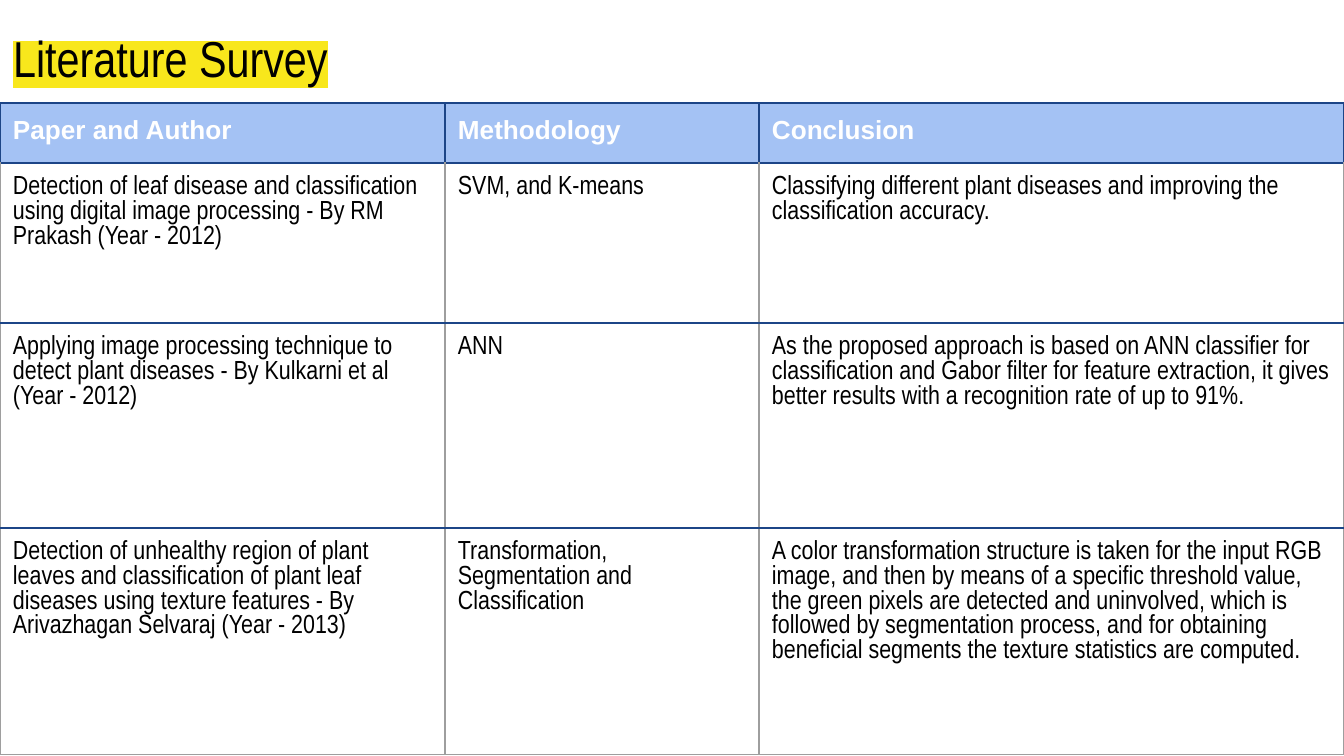
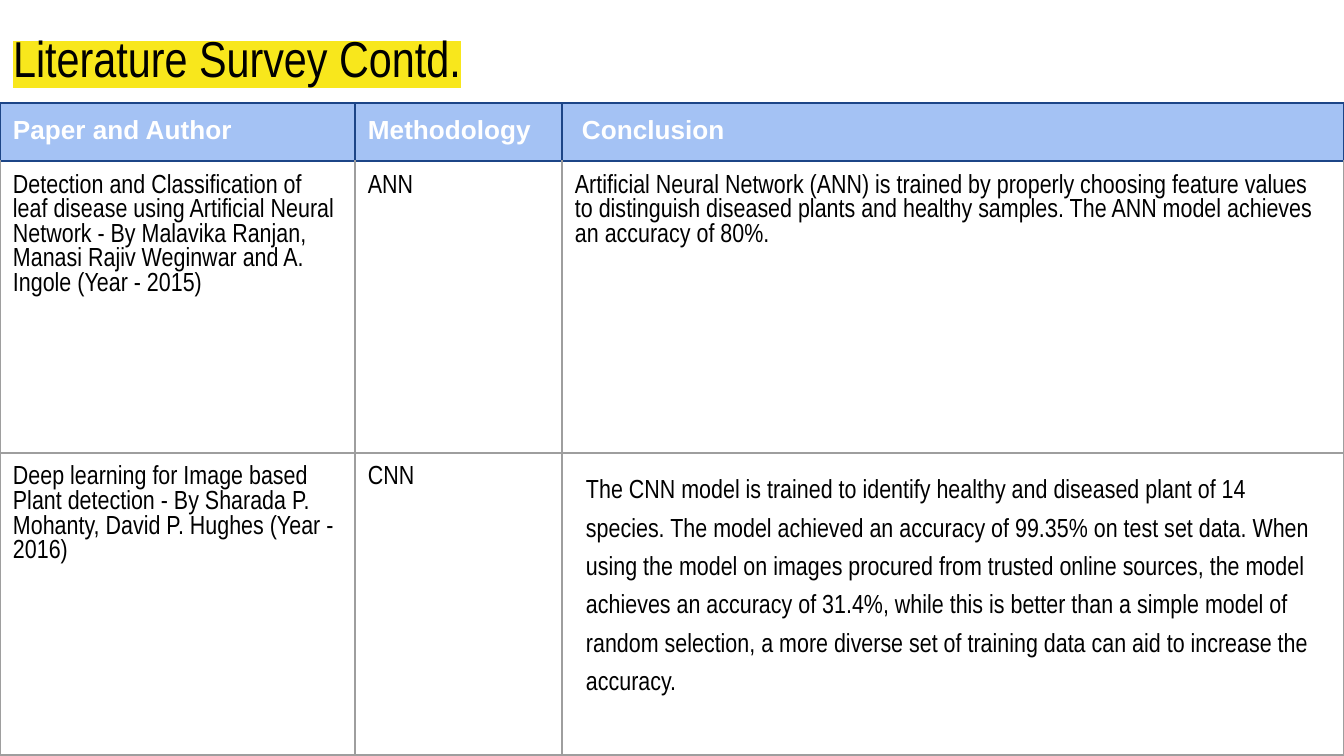
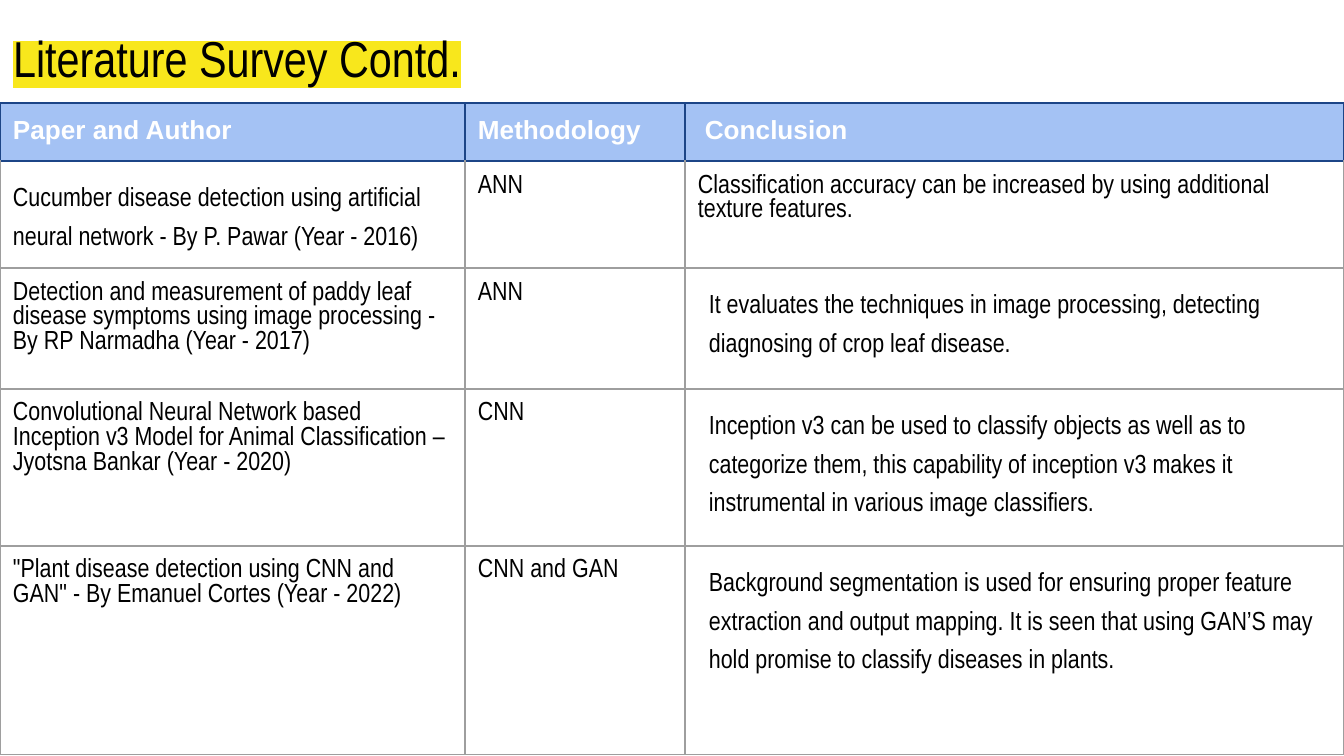
import pptx
import pptx.dml.color
import pptx.enum.text
import pptx.oxml
import pptx.oxml.ns
import pptx.util

BLACK = pptx.dml.color.RGBColor(0x00, 0x00, 0x00)
WHITE = pptx.dml.color.RGBColor(0xFF, 0xFF, 0xFF)
YELLOW = pptx.dml.color.RGBColor(0xF8, 0xE7, 0x1C)
SKY = pptx.dml.color.RGBColor(0xA4, 0xC2, 0xF4)
NAVY = pptx.dml.color.RGBColor(0x1C, 0x45, 0x87)
GREY = pptx.dml.color.RGBColor(0x9E, 0x9E, 0x9E)

PX_PER_INCH = 134.4
PAGE_WIDTH, PAGE_HEIGHT = 1344, 756
TABLE_TOP = 103
MARGIN = 13
TITLE_ONLY = 5
LOOSE_SPACING = 1.56

TITLE_FONT = {"size": pptx.util.Pt(27), "name": "Arial Narrow", "bold": False}
HEADER_FONT = {"size": pptx.util.Pt(14), "name": "Arial", "bold": True}
BODY_FONT = {"size": pptx.util.Pt(14), "name": "Arial Narrow", "bold": False}
HEADERS = ["Paper and Author", "Methodology", "Conclusion"]

SURVEYS = [
    {
        "title": "Literature Survey",
        "widths": [445, 314, 585],
        "heights": [60, 160, 205, 227],
        "divider": NAVY,
        "indents": {},
        "papers": [
            ["Detection of leaf disease and classification using digital image processing - By RM Prakash (Year - 2012)",
             "SVM, and K-means",
             "Classifying different plant diseases and improving the classification accuracy."],
            ["Applying image processing technique to detect plant diseases - By Kulkarni et al (Year - 2012)",
             "ANN",
             "As the proposed approach is based on ANN classifier for classification and Gabor filter for "
             "feature extraction, it gives better results with a recognition rate of up to 91%."],
            ["Detection of unhealthy region of plant leaves and classification of plant leaf diseases using "
             "texture features - By Arivazhagan Selvaraj (Year - 2013)",
             "Transformation, Segmentation and Classification",
             "A color transformation structure is taken for the input RGB image, and then by means of a "
             "specific threshold value, the green pixels are detected and uninvolved, which is followed by "
             "segmentation process, and for obtaining beneficial segments the texture statistics are computed."],
        ],
    },
    {
        "title": "Literature Survey Contd.",
        "widths": [355, 207, 782],
        "heights": [58, 292, 302],
        "divider": GREY,
        "indents": {(0, 2): 7, (2, 2): 11},
        "papers": [
            ["Detection and Classification of leaf disease using Artificial Neural Network - By Malavika "
             "Ranjan, Manasi Rajiv Weginwar and A. Ingole (Year - 2015)",
             "ANN",
             "Artificial Neural Network (ANN) is trained by properly choosing feature values to distinguish "
             "diseased plants and healthy samples. The ANN model achieves an accuracy of 80%."],
            ["Deep learning for Image based Plant detection - By Sharada P. Mohanty, David P. Hughes (Year - 2016)",
             "CNN",
             "The CNN model is trained to identify healthy and diseased plant of 14 species. The model "
             "achieved an accuracy of 99.35% on test set data. When using the model on images procured from "
             "trusted online sources, the model achieves an accuracy of 31.4%, while this is better than a "
             "simple model of random selection, a more diverse set of training data can aid to increase the "
             "accuracy."],
        ],
    },
    {
        "title": "Literature Survey Contd.",
        "widths": [465, 220, 659],
        "heights": [58, 107, 121, 157, 209],
        "divider": GREY,
        "indents": {(0, 2): 7, (1, 0): 0, (2, 2): 11, (3, 2): 11, (4, 2): 11},
        "papers": [
            ["Cucumber disease detection using artificial neural network - By P. Pawar (Year - 2016)",
             "ANN",
             "Classification accuracy can be increased by using additional texture features."],
            ["Detection and measurement of paddy leaf disease symptoms using image processing - "
             "By RP Narmadha (Year - 2017)",
             "ANN",
             "It evaluates the techniques in image processing, detecting diagnosing of crop leaf disease."],
            ["Convolutional Neural Network based Inception v3 Model for Animal Classification – "
             "Jyotsna Bankar (Year - 2020)",
             "CNN",
             "Inception v3 can be used to classify objects as well as to categorize them, this capability of "
             "inception v3 makes it instrumental in various image classifiers."],
            ["\"Plant disease detection using CNN and GAN\" - By Emanuel Cortes (Year - 2022)",
             "CNN and GAN",
             "Background segmentation is used for ensuring proper feature extraction and output mapping. It "
             "is seen that using GAN’S may hold promise to classify diseases in plants."],
        ],
    },
]


def px(length):
    return pptx.util.Emu(round(length * 914400 / PX_PER_INCH))


def apply(target, values):
    for name, value in values.items():
        setattr(target, name, value)


def write(para, text, font, color):
    para.alignment = pptx.enum.text.PP_ALIGN.LEFT
    span = para.add_run()
    span.text = text
    apply(span.font, font)
    span.font.color.rgb = color
    return span


def highlight(span, color):
    solid = span.font._element.find(pptx.oxml.ns.qn("a:solidFill"))
    solid.addnext(pptx.oxml.parse_xml(
        f'<a:highlight {pptx.oxml.ns.nsdecls("a")}><a:srgbClr val="{color}"/></a:highlight>'))


def add_title(page, text):
    title = page.shapes.title
    apply(title, {"left": 0, "top": 0, "width": px(PAGE_WIDTH), "height": px(85)})
    apply(title.text_frame, {
        "margin_left": px(MARGIN), "margin_right": px(MARGIN),
        "margin_top": px(2 * MARGIN + 1), "margin_bottom": 0,
        "word_wrap": True, "auto_size": pptx.enum.text.MSO_AUTO_SIZE.NONE,
        "vertical_anchor": pptx.enum.text.MSO_ANCHOR.TOP,
    })
    highlight(write(title.text_frame.paragraphs[0], text, TITLE_FONT, BLACK), YELLOW)


def set_borders(cell, side, top, bottom):
    properties = cell._tc.get_or_add_tcPr()
    for edge, color in (("L", side), ("R", side), ("T", top), ("B", bottom)):
        properties.append(pptx.oxml.parse_xml(
            f'<a:ln{edge} {pptx.oxml.ns.nsdecls("a")} w="9525"><a:solidFill>'
            f'<a:srgbClr val="{color}"/></a:solidFill></a:ln{edge}>'))


def fill_cell(cell, text, is_header, indent):
    for side in ("left", "right", "top", "bottom"):
        setattr(cell, f"margin_{side}", px(MARGIN))
    cell.vertical_anchor = pptx.enum.text.MSO_ANCHOR.TOP
    para = cell.text_frame.paragraphs[0]
    if indent is not None:
        apply_indent = para._p.get_or_add_pPr()
        apply_indent.set("marL", str(px(indent)))
        apply_indent.set("indent", "0")
        if not is_header:
            para.line_spacing = LOOSE_SPACING
    if is_header:
        cell.fill.solid()
        cell.fill.fore_color.rgb = SKY
        write(para, text, HEADER_FONT, WHITE)
    else:
        cell.fill.background()
        write(para, text, BODY_FONT, BLACK)


def add_survey_table(page, survey):
    rows = [HEADERS] + survey["papers"]
    table = page.shapes.add_table(
        len(rows), len(HEADERS), 0, px(TABLE_TOP),
        px(sum(survey["widths"])), px(sum(survey["heights"]))).table
    apply(table, {"first_row": False, "horz_banding": False})
    for column, width in zip(table.columns, survey["widths"]):
        column.width = px(width)
    for line, height in zip(table.rows, survey["heights"]):
        line.height = px(height)
    dividers = [NAVY, NAVY] + [survey["divider"]] * (len(rows) - 2) + [GREY]
    for row, texts in enumerate(rows):
        for column, text in enumerate(texts):
            cell = table.cell(row, column)
            set_borders(cell, GREY if row else NAVY, dividers[row], dividers[row + 1])
            fill_cell(cell, text, row == 0, survey["indents"].get((row, column)))


def main():
    deck = pptx.Presentation()
    apply(deck, {"slide_width": px(PAGE_WIDTH), "slide_height": px(PAGE_HEIGHT)})
    for survey in SURVEYS:
        page = deck.slides.add_slide(deck.slide_layouts[TITLE_ONLY])
        add_title(page, survey["title"])
        add_survey_table(page, survey)
    deck.save("out.pptx")


if __name__ == "__main__":
    main()
